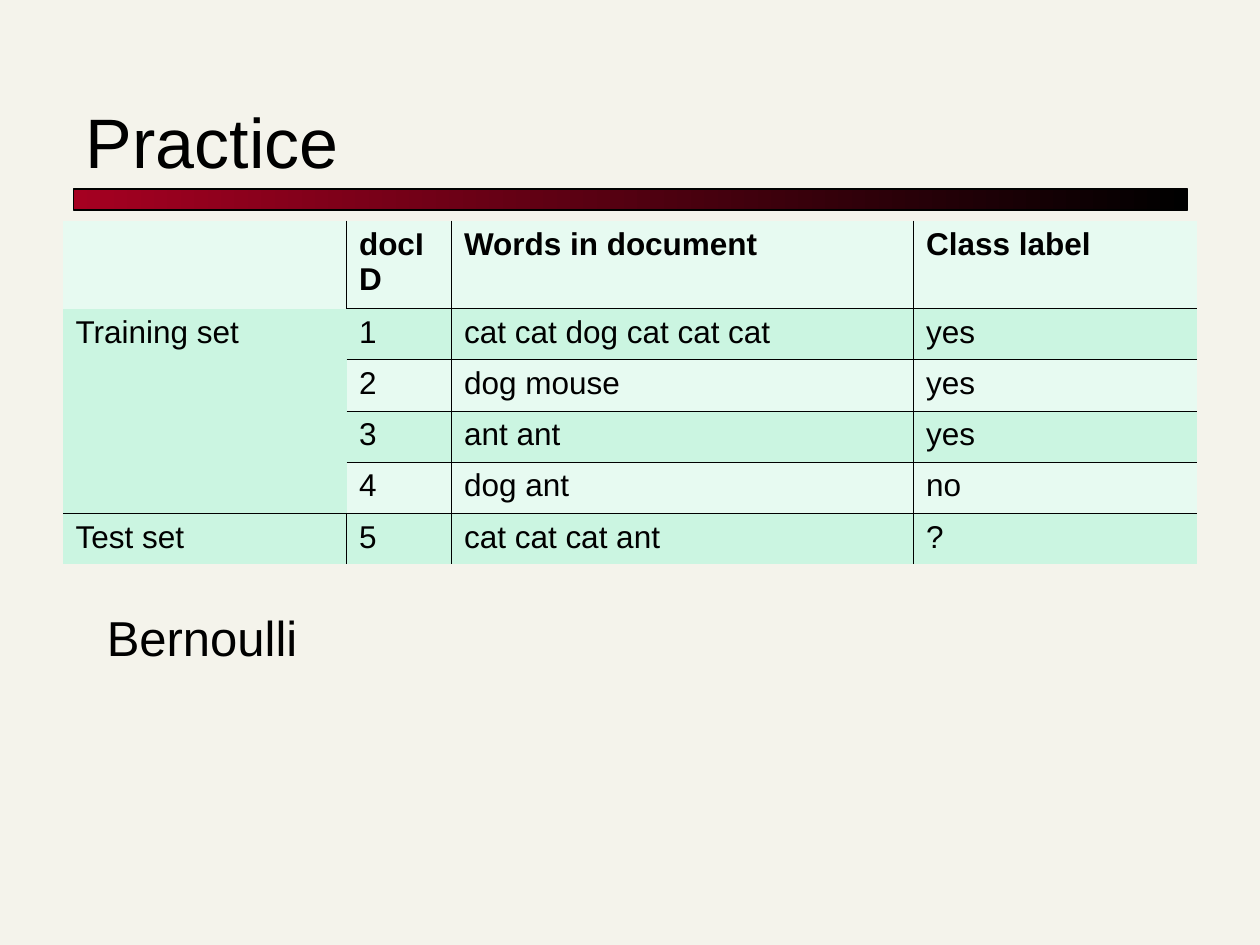
"""Build the Bernoulli practice slide with its training and test table."""
from dataclasses import dataclass

from lxml.etree import SubElement
from pptx import Presentation
from pptx.dml.color import RGBColor
from pptx.enum.shapes import MSO_SHAPE
from pptx.enum.text import MSO_ANCHOR
from pptx.oxml.ns import qn
from pptx.util import Pt


@dataclass(frozen=True)
class Theme:
    """Colours and type sizes of the slide."""
    back: str = "F4F3EB"
    ink: str = "000000"
    red: str = "A50021"
    pale: str = "E7FAF1"
    mint: str = "CBF5E1"
    font: str = "Arial"
    title: int = 40
    note: int = 28
    cell: int = 18
    rule: float = 0.45
    edge: float = 0.75


THEME = Theme()
WIDTHS = [162, 60, 264, 162]
HEIGHTS = [50.4] + [29.2] * 5
ROWS = [
    ["", "docID", "Words in document", "Class label"],
    ["Training set", "1", "cat cat dog cat cat cat", "yes"],
    ["", "2", "dog mouse", "yes"],
    ["", "3", "ant ant", "yes"],
    ["", "4", "dog ant", "no"],
    ["Test set", "5", "cat cat cat ant", "?"],
]


def color(code):
    """Turn a hex code into a colour."""
    return RGBColor.from_string(code)


def style(para, size, bold=False):
    """Set the font of a paragraph."""
    font = para.font
    font.name, font.size, font.bold = THEME.font, Pt(size), bold
    font.color.rgb = color(THEME.ink)


def add_text(slide, text, box, size, anchor):
    """Add a wrapped line of text."""
    frame = slide.shapes.add_textbox(*map(Pt, box)).text_frame
    frame.word_wrap = True
    frame.vertical_anchor = anchor
    frame.text = text
    style(frame.paragraphs[0], size)


def add_bar(slide, box):
    """Add the gradient bar under the title."""
    bar = slide.shapes.add_shape(MSO_SHAPE.RECTANGLE, *map(Pt, box))
    bar.shadow.inherit = False
    bar.fill.gradient()
    bar.fill.gradient_angle = 0
    for stop, code in zip(bar.fill.gradient_stops, (THEME.red, THEME.ink)):
        stop.color.rgb = color(code)
    bar.line.color.rgb = color(THEME.ink)
    bar.line.width = Pt(THEME.edge)


def has_right(row, col):
    """Tell whether a rule runs to the right of a cell."""
    return 0 <= col < len(WIDTHS) - 1 and (col > 0 or row in (0, 5))


def has_base(row, col):
    """Tell whether a rule runs below a cell."""
    return 0 <= row < len(ROWS) - 1 and (col > 0 or row == 4)


def add_rules(cell, row, col):
    """Draw the inner rules of a cell and clear its other sides."""
    sides = {
        "L": has_right(row, col - 1),
        "R": has_right(row, col),
        "T": has_base(row - 1, col),
        "B": has_base(row + 3 if cell.is_merge_origin else row, col),
    }
    props = cell._tc.get_or_add_tcPr()
    for side, shown in sides.items():
        line = SubElement(props, qn(f"a:ln{side}"), w=str(Pt(THEME.rule)))
        fill = SubElement(line, qn("a:solidFill" if shown else "a:noFill"))
        if shown:
            SubElement(fill, qn("a:srgbClr"), val=THEME.ink)


def add_grid(slide, left, top):
    """Add the table of documents."""
    table = slide.shapes.add_table(
        len(ROWS), len(WIDTHS), Pt(left), Pt(top),
        Pt(sum(WIDTHS)), Pt(sum(HEIGHTS))).table
    table.first_row = table.horz_banding = False
    for col, width in zip(table.columns, WIDTHS):
        col.width = Pt(width)
    for row, height in zip(table.rows, HEIGHTS):
        row.height = Pt(height)
    table.cell(1, 0).merge(table.cell(4, 0))
    for row, words in enumerate(ROWS):
        for col, word in enumerate(words):
            cell = table.cell(row, col)
            add_rules(cell, row, col)
            dark = row % 2 or (col == 0 and row > 0)
            cell.fill.solid()
            cell.fill.fore_color.rgb = color(THEME.mint if dark else THEME.pale)
            cell.text = word
            style(cell.text_frame.paragraphs[0], THEME.cell, row == 0)


def main():
    """Build and save the slide."""
    deck = Presentation()
    deck.slide_width, deck.slide_height = Pt(720), Pt(540)
    slide = deck.slides.add_slide(deck.slide_layouts[6])
    slide.background.fill.solid()
    slide.background.fill.fore_color.rgb = color(THEME.back)
    add_bar(slide, (42, 108, 636.5, 12))
    add_text(slide, "Practice", (42, 30, 636, 78), THEME.title, MSO_ANCHOR.BOTTOM)
    add_grid(slide, 36, 126)
    add_text(slide, "Bernoulli", (54, 343.5, 232.5, 75), THEME.note, MSO_ANCHOR.TOP)
    deck.save("out.pptx")


if __name__ == "__main__":
    main()
